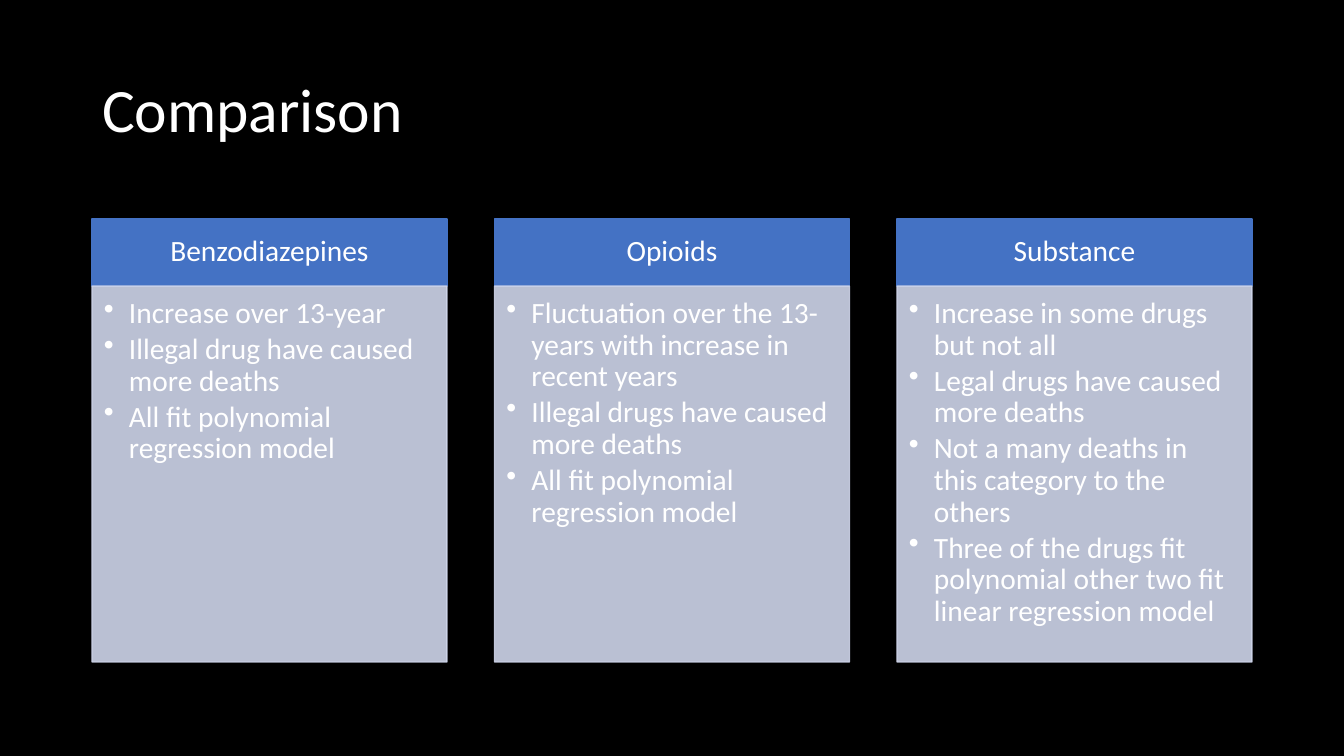
from lxml import etree
from pptx import Presentation
from pptx.dml.color import RGBColor
from pptx.enum.shapes import MSO_SHAPE
from pptx.enum.text import MSO_ANCHOR, PP_ALIGN
from pptx.oxml.ns import qn
from pptx.util import Pt

RECT = MSO_SHAPE.RECTANGLE
TOP, MIDDLE = MSO_ANCHOR.TOP, MSO_ANCHOR.MIDDLE
LEFT, CENTER = PP_ALIGN.LEFT, PP_ALIGN.CENTER

# Content
TITLE = "Comparison"
COLUMNS = [
    ("Benzodiazepines", [
        "Increase over 13-year",
        "Illegal drug have caused more deaths",
        "All fit polynomial regression model",
    ]),
    ("Opioids", [
        "Fluctuation over the 13-years with increase in recent years",
        "Illegal drugs have caused more deaths",
        "All fit polynomial regression model",
    ]),
    ("Substance", [
        "Increase in some drugs but not all",
        "Legal drugs have caused more deaths",
        "Not a many deaths in this category to the others",
        "Three of the drugs fit polynomial other two fit linear regression model",
    ]),
]

# Style
FONT = "Calibri"
BLACK = RGBColor(0x00, 0x00, 0x00)
WHITE = RGBColor(0xFF, 0xFF, 0xFF)
BLUE = RGBColor(0x44, 0x72, 0xC4)
PALE_BLUE = RGBColor(0xCF, 0xD5, 0xEA)

# Layout in px
SLIDE_W, SLIDE_H = 1344, 756
MARGIN = 92
TITLE_TOP, TITLE_H = 40, 146
HEADER_TOP, HEADER_H, BODY_H = 219, 67, 376
COLUMN_W = 355
COLUMN_STEP = (SLIDE_W - 2 * MARGIN - COLUMN_W) / (len(COLUMNS) - 1)
BULLET_INDENT = 25


def px(length):
    return round(length * 914400 / 100.8)


def style_paragraph(paragraph, size, align):
    paragraph.alignment = align
    paragraph.line_spacing = 0.9
    paragraph.font.name = FONT
    paragraph.font.size = Pt(size)
    paragraph.font.color.rgb = WHITE


def add_bullet(paragraph):
    properties = paragraph._p.get_or_add_pPr()
    properties.set("marL", str(px(BULLET_INDENT)))
    properties.set("indent", str(-px(BULLET_INDENT)))
    etree.SubElement(properties, qn("a:buChar")).set("char", "•")


def add_panel(left, top, height, color, insets, anchor):
    panel = slide.shapes.add_shape(RECT, px(left), px(top), px(COLUMN_W), px(height))
    panel.shadow.inherit = False
    panel.fill.solid()
    panel.fill.fore_color.rgb = color
    panel.line.color.rgb = color
    panel.line.width = Pt(1)
    frame = panel.text_frame
    frame.word_wrap = True
    frame.vertical_anchor = anchor
    (frame.margin_left, frame.margin_top,
     frame.margin_right, frame.margin_bottom) = map(px, insets)
    return panel


def make_translucent(panel, percent):
    for color in panel._element.spPr.iter(qn("a:srgbClr")):
        etree.SubElement(color, qn("a:alpha")).set("val", str(percent * 1000))


prs = Presentation()
prs.slide_width, prs.slide_height = px(SLIDE_W), px(SLIDE_H)
slide = prs.slides.add_slide(prs.slide_layouts[5])
slide.background.fill.solid()
slide.background.fill.fore_color.rgb = BLACK

# Title
title = slide.shapes.title
title.left, title.top = px(MARGIN), px(TITLE_TOP)
title.width, title.height = px(SLIDE_W - 2 * MARGIN), px(TITLE_H)
title.text_frame.text = TITLE
title.text_frame.vertical_anchor = MIDDLE
style_paragraph(title.text_frame.paragraphs[0], 44, LEFT)

# Columns: a header above a bulleted body
for index, (heading, points) in enumerate(COLUMNS):
    left = MARGIN + index * COLUMN_STEP

    header = add_panel(left, HEADER_TOP, HEADER_H, BLUE, (16, 9, 16, 9), MIDDLE)
    header.text_frame.text = heading
    style_paragraph(header.text_frame.paragraphs[0], 21, CENTER)

    body = add_panel(left, HEADER_TOP + HEADER_H, BODY_H, PALE_BLUE,
                     (12, 12, 16, 18), TOP)
    make_translucent(body, 90)
    body.text_frame.text = "\n".join(points)
    for paragraph in body.text_frame.paragraphs:
        add_bullet(paragraph)
        style_paragraph(paragraph, 21, LEFT)
        paragraph.space_after = Pt(3)

prs.save("out.pptx")
